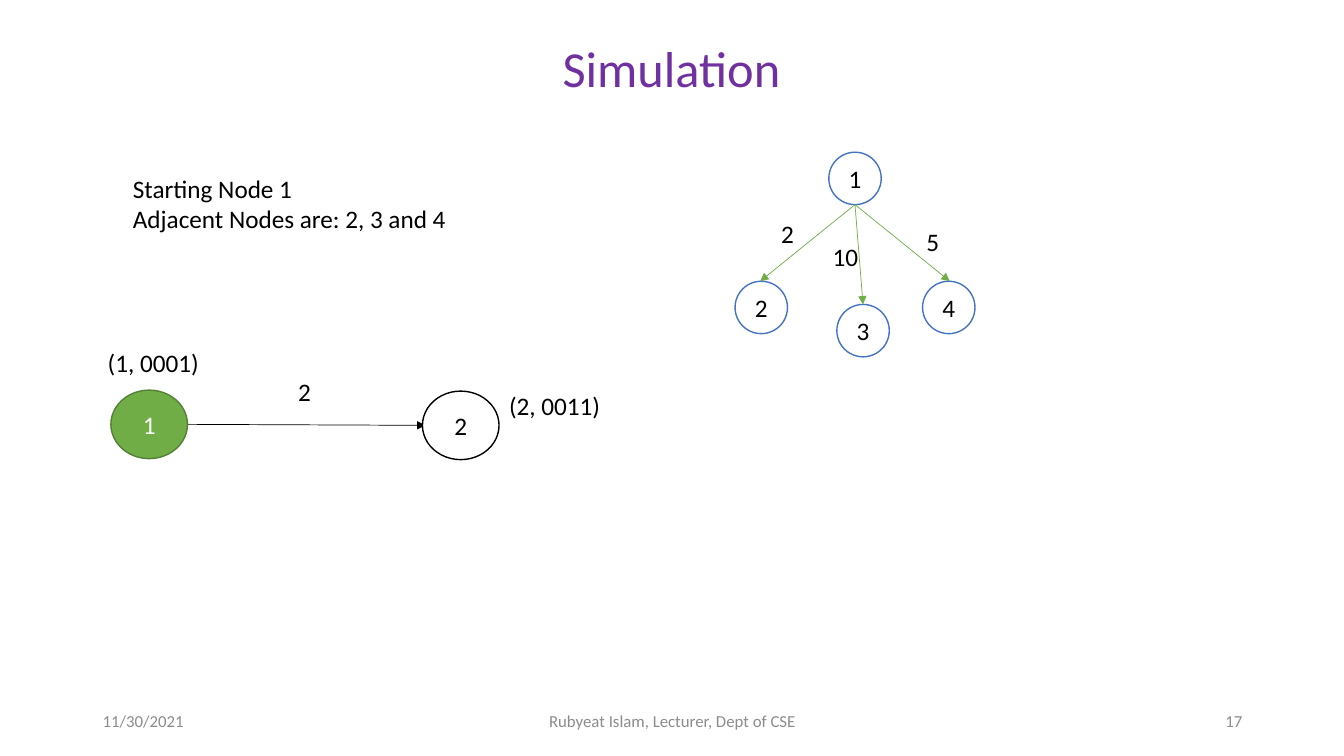
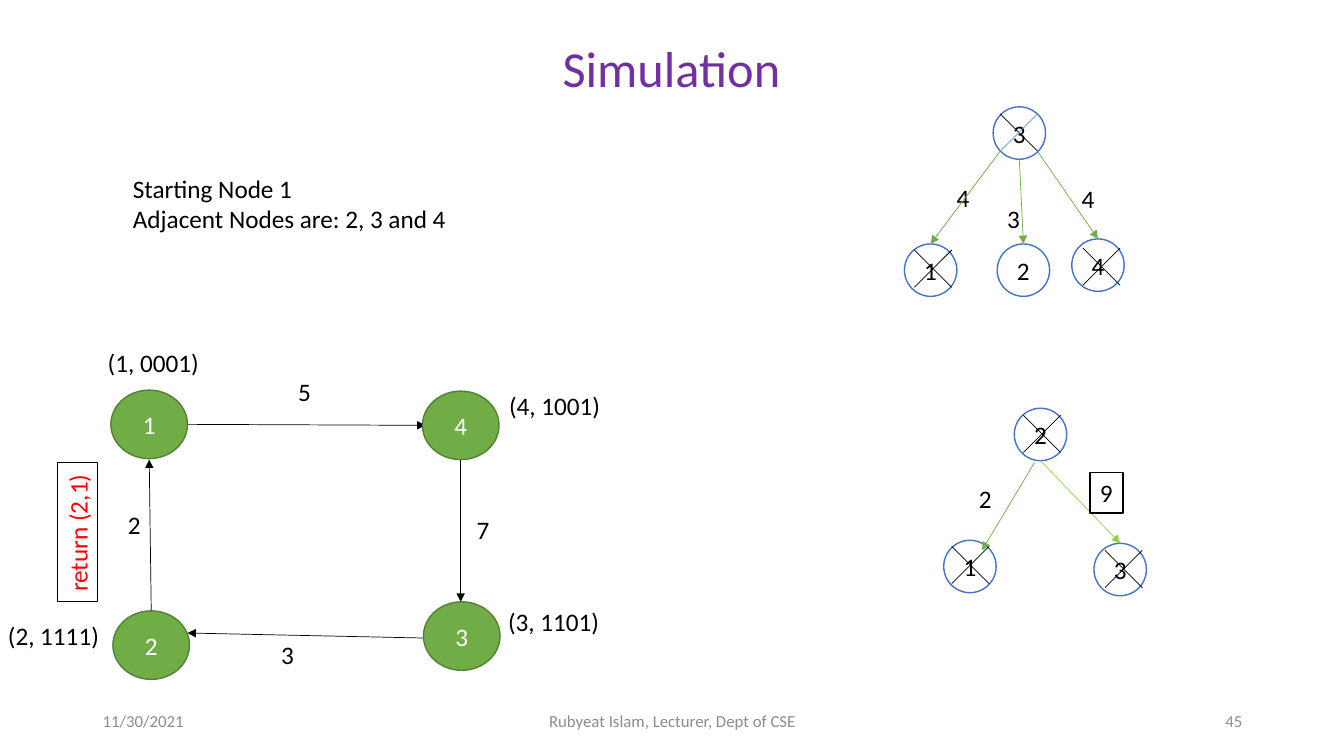
from lxml.etree import SubElement
from pptx import Presentation
from pptx.dml.color import RGBColor
from pptx.enum.shapes import MSO_CONNECTOR, MSO_SHAPE
from pptx.enum.text import MSO_ANCHOR, MSO_AUTO_SIZE, PP_ALIGN
from pptx.oxml.ns import qn
from pptx.util import Inches, Pt

COLORS = {
    "title": "7030A0", "footer": "8C8C8C", "text": "000000", "paper": "FFFFFF",
    "visited": "70AD47", "visited_rim": "538035", "tree_rim": "4472C4",
    "branch": "70AD47", "bright_branch": "92D050", "blue_strike": "5B9BD5",
    "return": "FF0000",
}
FONT = "Calibri"
TREE_SIZE = (0.52, 0.52)
TOUR_SIZE = (0.76, 0.68)
LABEL_HEIGHT = 0.4
LABEL_WIDTHS = {1: 0.33, 2: 0.46, 9: 1.12}
STRIKE_SIZE = 0.37


def rgb(name):
    """Return the named palette colour."""
    return RGBColor.from_string(COLORS[name])


def write(frame, lines, size=18, color="text", align=PP_ALIGN.LEFT, anchor=MSO_ANCHOR.TOP):
    """Fill a text frame with one formatted paragraph per line."""
    frame.text = "\n".join(lines)
    frame.auto_size = MSO_AUTO_SIZE.NONE
    frame.vertical_anchor = anchor
    for paragraph in frame.paragraphs:
        paragraph.alignment = align
        paragraph.font.name = FONT
        paragraph.font.size = Pt(size)
        paragraph.font.color.rgb = rgb(color)


def add_text(slide, lines, left, top, width, height, wrap=False, **style):
    """Add a plain text box."""
    box = slide.shapes.add_textbox(Inches(left), Inches(top), Inches(width), Inches(height))
    write(box.text_frame, lines, **style)
    box.text_frame.word_wrap = wrap


def add_label(slide, text, left, top):
    """Add a one-line label sized by its character count."""
    add_text(slide, [text], left, top, LABEL_WIDTHS[len(text)], LABEL_HEIGHT)


def add_outlined(slide, kind, left, top, width, height, fill="paper", rim="text"):
    """Add a filled shape with a one-point outline."""
    shape = slide.shapes.add_shape(kind, Inches(left), Inches(top), Inches(width), Inches(height))
    shape.shadow.inherit = False
    shape.fill.solid()
    shape.fill.fore_color.rgb = rgb(fill)
    shape.line.color.rgb = rgb(rim)
    shape.line.width = Pt(1)
    return shape


def add_node(slide, text, left, top, size, fill="paper", rim="text", color="text"):
    """Add a numbered graph node."""
    node = add_outlined(slide, MSO_SHAPE.OVAL, left, top, *size, fill, rim)
    write(node.text_frame, [text], color=color, align=PP_ALIGN.CENTER, anchor=MSO_ANCHOR.MIDDLE)


def add_tree_node(slide, text, left, top):
    """Add a small blue-rimmed node of a search tree."""
    add_node(slide, text, left, top, TREE_SIZE, rim="tree_rim")


def add_visited_node(slide, text, left, top):
    """Add a large green node of the tour."""
    add_node(slide, text, left, top, TOUR_SIZE, "visited", "visited_rim", "paper")


def add_boxed_label(slide, text, left, top, width, color="text", rotation=0):
    """Add a label inside a black frame."""
    frame = add_outlined(slide, MSO_SHAPE.RECTANGLE, left, top, width, LABEL_HEIGHT)
    frame.rotation = rotation
    write(frame.text_frame, [text], color=color)
    frame.text_frame.word_wrap = False


def add_line(slide, x1, y1, x2, y2, color="text", arrow=True):
    """Add a thin straight line, with an arrowhead at its end if wanted."""
    line = slide.shapes.add_connector(
        MSO_CONNECTOR.STRAIGHT, Inches(x1), Inches(y1), Inches(x2), Inches(y2))
    line.line.color.rgb = rgb(color)
    line.line.width = Pt(0.5)
    if arrow:
        SubElement(line.line._get_or_add_ln(), qn("a:tailEnd"), type="triangle")
    SubElement(line._element.spPr, qn("a:effectLst"))


def add_strike(slide, left, top, rising="text"):
    """Cross out a tree node."""
    right, bottom = left + STRIKE_SIZE, top + STRIKE_SIZE
    add_line(slide, left, top, right, bottom, arrow=False)
    add_line(slide, right, top, left, bottom, rising, arrow=False)


def add_tree(slide, nodes, branches, weights):
    """Draw a search tree from its nodes, branches and branch weights."""
    for node in nodes:
        add_tree_node(slide, *node)
    for weight in weights:
        add_label(slide, *weight)
    for branch in branches:
        add_line(slide, *branch)


def add_simulation_slide(deck, number):
    """Start a slide with the shared title, footer and introduction."""
    slide = deck.slides.add_slide(deck.slide_layouts[5])
    title = slide.shapes.title
    title.left, title.top = Inches(0.44), Inches(0.32)
    title.width, title.height = Inches(12.44), Inches(0.71)
    write(title.text_frame, ["Simulation"], 36, "title", PP_ALIGN.CENTER)
    footers = [
        ("11/30/2021", 0.92, 3, PP_ALIGN.LEFT),
        ("Rubyeat Islam, Lecturer, Dept of CSE", 4.42, 4.5, PP_ALIGN.CENTER),
        (number, 9.42, 3, PP_ALIGN.RIGHT),
    ]
    for text, left, width, align in footers:
        add_text(slide, [text], left, 6.95, width, 0.4, wrap=True, size=12,
                 color="footer", align=align, anchor=MSO_ANCHOR.MIDDLE)
    add_text(slide, ["Starting Node 1", "Adjacent Nodes are: 2, 3 and 4"], 1.22, 1.67, 3.34, 0.71)
    return slide


def add_first_step(slide, weight, state):
    """Draw the start node and the labelled edge leaving it."""
    add_line(slide, 1.86, 4.21, 4.22, 4.22)
    add_visited_node(slide, "1", 1.1, 3.87)
    add_label(slide, "(1, 0001)", 0.97, 3.4)
    add_label(slide, weight, 2.86, 3.68)
    add_label(slide, state, 4.95, 3.82)


def add_start_slide(deck):
    """Build the slide showing the first step of the search."""
    slide = add_simulation_slide(deck, "17")
    add_tree(
        slide,
        [("1", 8.22, 1.51), ("2", 7.29, 2.79), ("3", 8.3, 3.02), ("4", 9.15, 2.79)],
        [(8.48, 2.03, x, y, "branch") for x, y in ((7.54, 2.79), (9.42, 2.79), (8.56, 3.02))],
        [("2", 7.65, 2.12), ("10", 8.16, 2.34), ("5", 9.09, 2.2)],
    )
    add_first_step(slide, "2", "(2, 0011)")
    add_node(slide, "2", 4.19, 3.88, TOUR_SIZE)


def add_return_slide(deck):
    """Build the slide showing the full tour and its return value."""
    slide = add_simulation_slide(deck, "45")
    add_first_step(slide, "5", "(4, 1001)")
    for edge in ((4.57, 4.56, 4.57, 5.97), (4.22, 6.33, 1.86, 6.28), (1.5, 6.06, 1.48, 4.56)):
        add_line(slide, *edge)
    for node in (("4", 4.19, 3.88), ("3", 4.2, 5.97), ("2", 1.12, 6.06)):
        add_visited_node(slide, *node)
    for label in (("(3, 1101)", 4.94, 5.97), ("(2, 1111)", -0.02, 6.1),
                  ("7", 4.63, 5.05), ("3", 2.69, 6.29), ("2", 1.17, 5)):
        add_label(slide, *label)
    add_boxed_label(slide, "return (2,1)", 0.08, 5.08, 1.38, "return", 270)

    add_tree(
        slide,
        [("3", 9.85, 1.06), ("1", 8.97, 2.42), ("4", 10.63, 2.37), ("2", 9.89, 2.42)],
        [(9.92, 1.5, 9.23, 2.42, "branch"), (10.29, 1.5, 10.89, 2.37, "branch"),
         (10.11, 1.58, 10.15, 2.42, "branch")],
        [("4", 9.39, 1.76), ("4", 10.63, 1.77), ("3", 9.89, 1.97)],
    )
    add_tree(
        slide,
        [("2", 10.06, 4.05), ("1", 9.36, 5.36), ("3", 10.85, 5.39)],
        [(10.26, 4.59, 9.74, 5.46, "branch"), (10.32, 4.57, 11.11, 5.39, "bright_branch")],
        [("2", 9.61, 4.75)],
    )
    add_boxed_label(slide, "9", 10.81, 4.69, 0.33)
    add_strike(slide, 9.92, 1.13, "blue_strike")
    for left, top in ((9.07, 2.48), (10.74, 2.46), (9.44, 5.42), (10.96, 5.46), (10.15, 4.12)):
        add_strike(slide, left, top)


def main():
    """Build and save the presentation."""
    deck = Presentation()
    deck.slide_width, deck.slide_height = Inches(13.33), Inches(7.5)
    add_start_slide(deck)
    add_return_slide(deck)
    deck.save("out.pptx")


if __name__ == "__main__":
    main()
